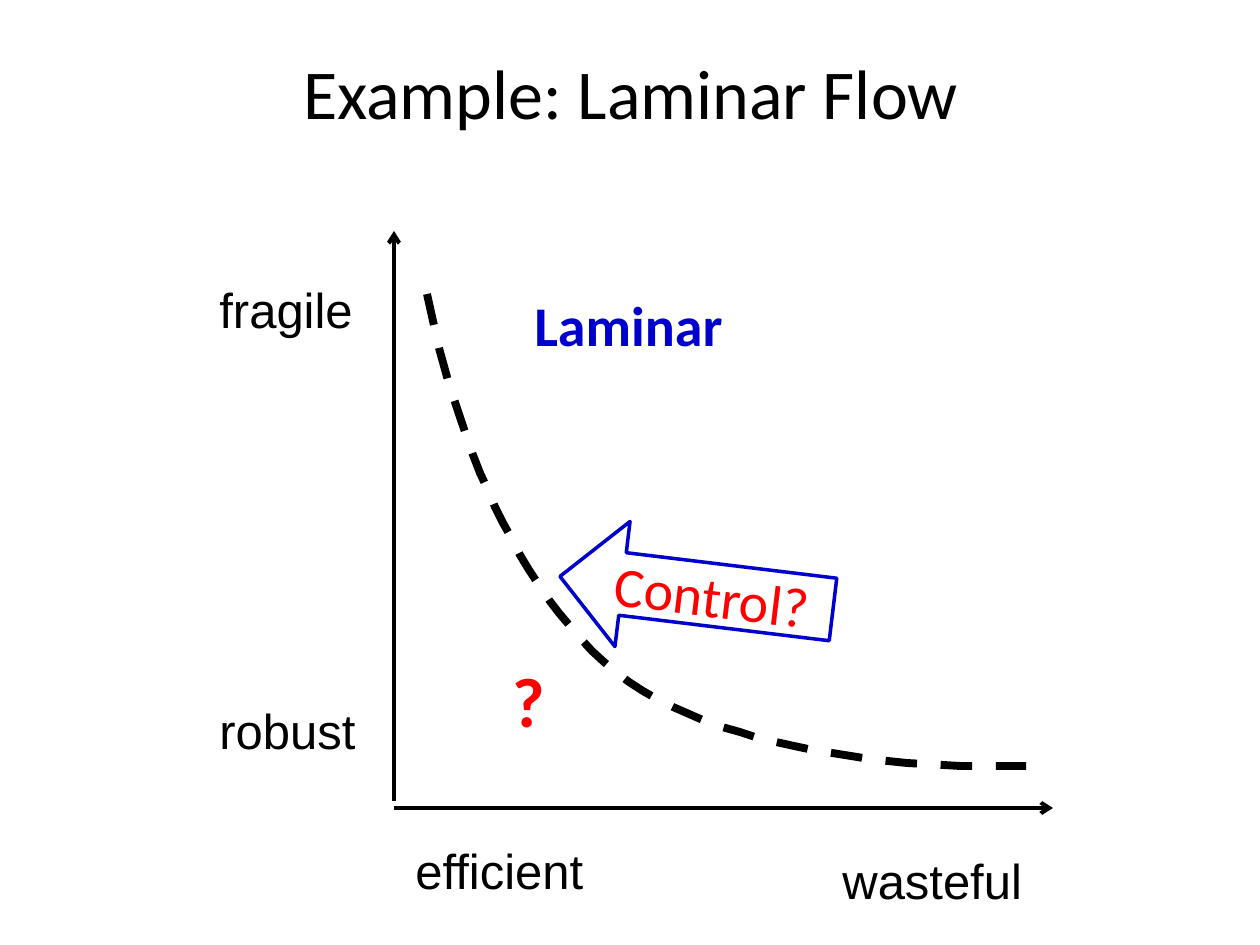
"""Build the laminar flow trade-off slide."""
import pptx
import pptx.util
import pptx.dml.color
import pptx.enum.dml
import pptx.enum.shapes
import pptx.enum.text
import pptx.oxml
import pptx.oxml.ns

RGB = pptx.dml.color.RGBColor
BLACK = RGB(0, 0, 0)
BLUE = RGB(0, 0, 0xCC)
RED = RGB(0xFF, 0, 0)
PX = 914400 / 126
STEPS = 24

TITLE = ("Example: Laminar Flow", (286, 43, 689, 97))
PLAIN = {"name": "Arial", "size": 28, "color": BLACK, "bold": False}
HEAD = {"name": "Calibri", "size": 40, "color": BLACK, "bold": False}
BLOCK = {"name": "Calibri", "size": 32, "color": RED, "bold": False}
LABELS = [
    ("wasteful", (830, 844, 207, 72), PLAIN),
    ("fragile", (207, 273, 160, 72), PLAIN),
    ("Laminar", (522, 284, 215, 81), {**BLOCK, "color": BLUE, "bold": True}),
    ("efficient", (403, 834, 195, 72), PLAIN),
    ("robust", (207, 694, 164, 72), PLAIN),
    ("?", (500, 651, 58, 97), {**HEAD, "color": RED, "bold": True}),
]
AXES = [(394, 808, 1053, 808), (394, 801, 394, 231)]
CURVE = [
    ((427, 294), (456, 436), (517, 593), (616, 672)),
    ((616, 672), (716, 751), (905, 770), (1026, 766)),
]
ARROW = ("Control?", (559, 530, 275, 126), 6.9)


def emu(nums):
    return [round(n * PX) for n in nums]


def write(frame, text, form, align, anchor, wrap):
    frame.text = text
    frame.word_wrap = wrap
    frame.auto_size = pptx.enum.text.MSO_AUTO_SIZE.NONE
    frame.vertical_anchor = anchor
    para = frame.paragraphs[0]
    para.alignment = align
    font = para.runs[0].font
    for key, val in form.items():
        if key == "color":
            font.color.rgb = val
        else:
            setattr(font, key, pptx.util.Pt(val) if key == "size" else val)


def stroke(line, color, width):
    line.color.rgb = color
    line.width = pptx.util.Pt(width)


def add_axis(shapes, ends):
    axis = shapes.add_connector(pptx.enum.shapes.MSO_CONNECTOR.STRAIGHT, *emu(ends))
    stroke(axis.line, BLACK, 2.25)
    props = axis._element.spPr
    tail = pptx.oxml.parse_xml(
        f'<a:tailEnd {pptx.oxml.ns.nsdecls("a")} type="arrow"/>')
    props.find(pptx.oxml.ns.qn("a:ln")).append(tail)
    props.append(pptx.oxml.parse_xml(
        f'<a:effectLst {pptx.oxml.ns.nsdecls("a")}/>'))


def point(knots, t):
    s = 1 - t
    parts = (s ** 3, 3 * s * s * t, 3 * s * t * t, t ** 3)
    return tuple(sum(w * k[i] for w, k in zip(parts, knots)) for i in (0, 1))


def add_curve(shapes):
    dots = [point(knots, n / STEPS) for knots in CURVE for n in range(1, STEPS + 1)]
    pen = shapes.build_freeform(*CURVE[0][0], scale=PX)
    pen.add_line_segments(dots, close=False)
    curve = pen.convert_to_shape()
    curve.shadow.inherit = False
    curve.fill.background()
    stroke(curve.line, BLACK, 4.5)
    curve.line.dash_style = pptx.enum.dml.MSO_LINE.DASH


def add_arrow(shapes, align, anchor):
    text, box, turn = ARROW
    arrow = shapes.add_shape(pptx.enum.shapes.MSO_SHAPE.LEFT_ARROW, *emu(box))
    arrow.rotation = turn
    arrow.shadow.inherit = False
    arrow.fill.background()
    stroke(arrow.line, BLUE, 2)
    write(arrow.text_frame, text, BLOCK, align, anchor, True)


def main():
    deck = pptx.Presentation()
    deck.slide_width, deck.slide_height = emu((1260, 945))
    slide = deck.slides.add_slide(deck.slide_layouts[5])
    shapes = slide.shapes
    align = pptx.enum.text.PP_ALIGN
    anchor = pptx.enum.text.MSO_ANCHOR

    text, box = TITLE
    title = shapes.title
    title.left, title.top, title.width, title.height = emu(box)
    write(title.text_frame, text, HEAD, align.CENTER, anchor.TOP, False)

    for ends in AXES:
        add_axis(shapes, ends)
    add_curve(shapes)
    for text, box, form in LABELS:
        label = shapes.add_textbox(*emu(box))
        write(label.text_frame, text, form, align.LEFT, anchor.TOP, False)
    add_arrow(shapes, align.CENTER, anchor.MIDDLE)
    deck.save("out.pptx")


if __name__ == "__main__":
    main()
